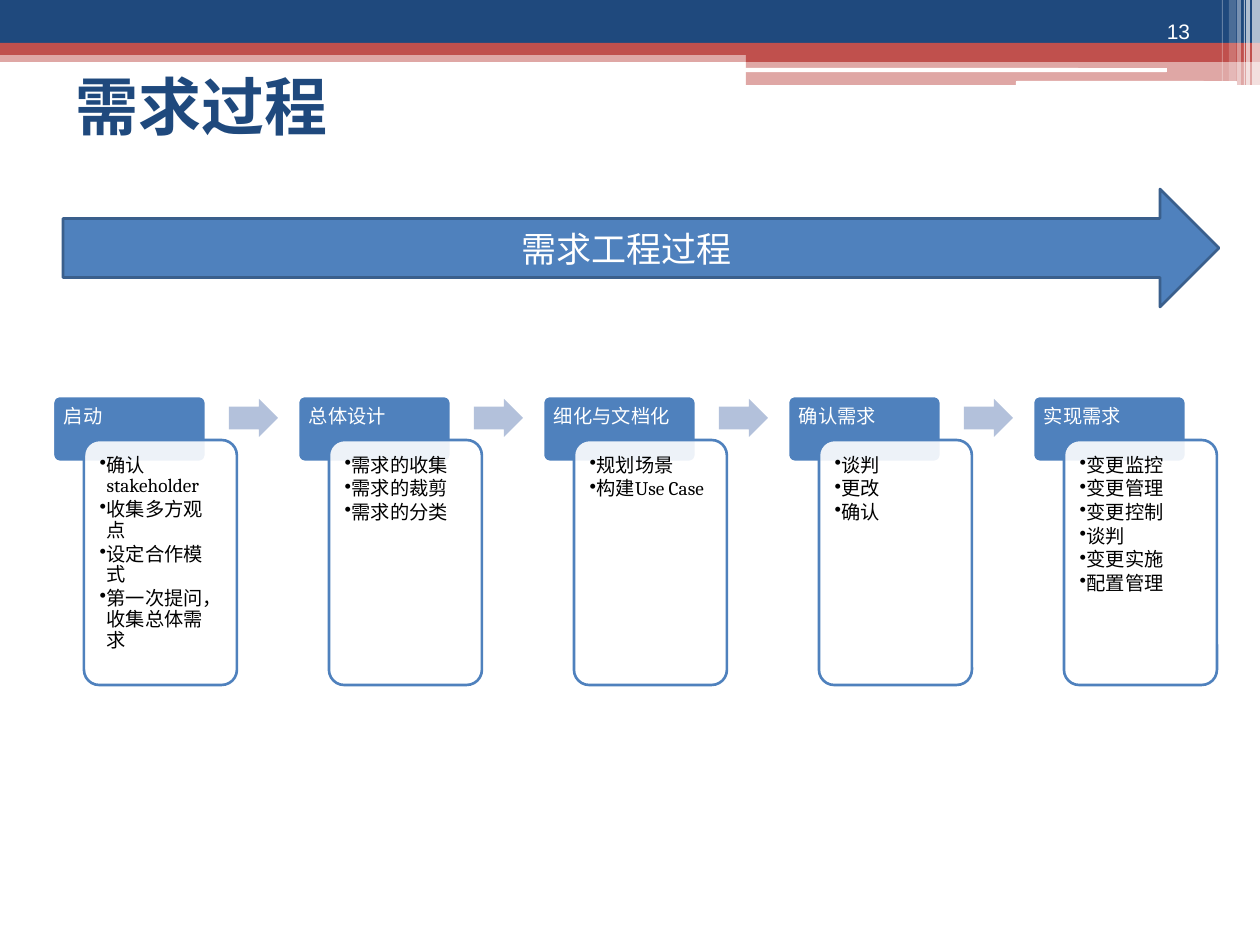
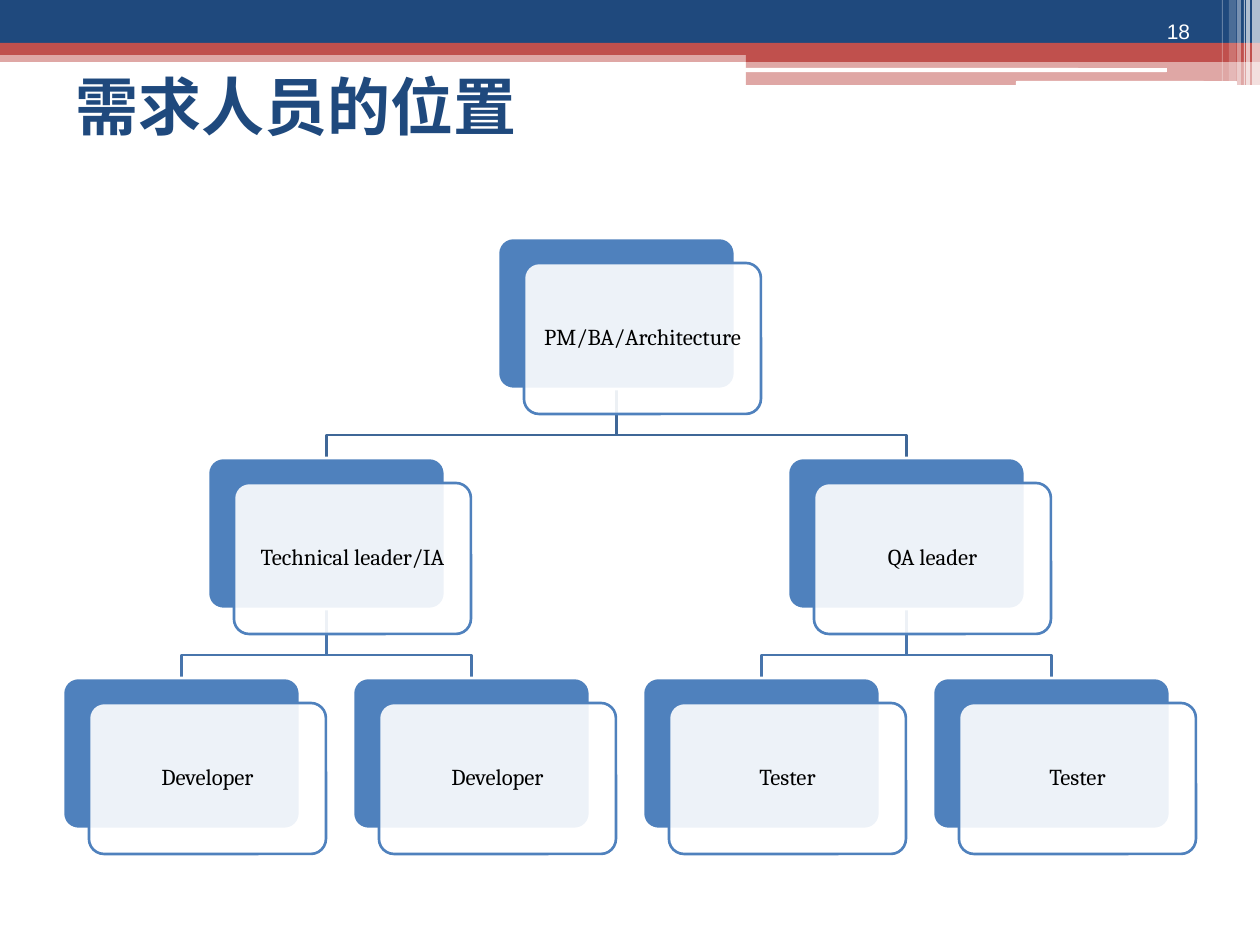
from lxml.etree import SubElement
from pptx import Presentation
from pptx.dml.color import RGBColor
from pptx.enum.shapes import MSO_SHAPE as Kind
from pptx.enum.text import MSO_ANCHOR as Anchor, PP_ALIGN as Align
from pptx.oxml.ns import qn
from pptx.util import Emu, Pt

STEPS = [
    ("启动", ["确认stakeholder", "收集多方观点", "设定合作模式", "第一次提问，收集总体需求"]),
    ("总体设计", ["需求的收集", "需求的裁剪", "需求的分类"]),
    ("细化与文档化", ["规划场景", "构建Use Case"]),
    ("确认需求", ["谈判", "更改", "确认"]),
    ("实现需求", ["变更监控", "变更管理", "变更控制", "谈判", "变更实施", "配置管理"]),
]
TREE = ("PM/BA/Architecture", [
    ("Technical leader/IA", [("Developer", []), ("Developer", [])]),
    ("QA leader", [("Tester", []), ("Tester", [])]),
])

THEME = dict(
    navy="1F497D", red="C0504D", blue="4F81BD", edge="3A5F8C", pale="B3C1DB",
    white="FFFFFF", black="000000", links=["3F6797", "4875AC"], line=1.5,
    title=dict(size=36, name="Roboto", bold=True, color="navy"),
    number=dict(size=12, name="Arial", color="white"),
    banner=dict(size=20, name="Cambria", color="white"),
    head=dict(size=11, name="Cambria", color="white"),
    item=dict(size=11, name="Cambria", color="black"),
    node=dict(size=13, name="Cambria", color="black"),
)

BANDS = [
    (Kind.RECTANGLE, (0, 50, 1260, 12), "red", 50),
    (Kind.RECTANGLE, (0, 0, 1260, 43), "navy", 100),
    (Kind.RECTANGLE, (0, 43, 1260, 12), "red", 100),
    (Kind.RECTANGLE, (746, 49, 514, 13), "red", 100),
    (Kind.RECTANGLE, (746, 62, 514, 23), "red", 50),
    (Kind.ROUNDED_RECTANGLE, (745, 68, 422, 4), "white", 100),
    (Kind.ROUNDED_RECTANGLE, (1016, 81, 221, 5), "white", 100),
] + [
    (Kind.RECTANGLE, (x, 0, wide, tall), "white", alpha)
    for x, wide, tall, alpha in [
        (1252, 8, 86, 65), (1246, 4, 86, 65), (1244, 1, 86, 60),
        (1237, 4, 86, 40), (1229, 7, 81, 20), (1222, 1, 81, 30)]
]


def px(num):
    return Emu(round(num * 914400 / 126))


def tint(name):
    return RGBColor.from_string(THEME.get(name, name))


def apply(obj, vals):
    for key, val in vals.items():
        setattr(obj, key, val)


def trim(shape, line):
    shape.shadow.inherit = False
    if line:
        shape.line.color.rgb = tint(line)
        shape.line.width = Pt(THEME["line"])
    else:
        shape.line.fill.background()


def draw(page, kind, at, fill, alpha=100, line=None, adj=()):
    shape = page.shapes.add_shape(kind, *map(px, at))
    trim(shape, line)
    shape.fill.solid()
    shape.fill.fore_color.rgb = tint(fill)
    if alpha < 100:
        color = shape._element.spPr.find(qn("a:solidFill"))[0]
        SubElement(color, qn("a:alpha"), val=str(alpha * 1000))
    for i, val in enumerate(adj):
        shape.adjustments[i] = val
    return shape


def write(shape, lines, style, pads=(13, 6, 13, 6), anchor=Anchor.TOP,
          align=Align.LEFT, space=1.0, list_style=False):
    frame = shape.text_frame
    sides = ("left", "top", "right", "bottom")
    apply(frame, {f"margin_{side}": px(pad) for side, pad in zip(sides, pads)})
    apply(frame, dict(word_wrap=True, vertical_anchor=anchor))
    font = dict(THEME[style])
    color = font.pop("color")
    font["size"] = Pt(font["size"])
    for i, line in enumerate(lines):
        para = frame.add_paragraph() if i else frame.paragraphs[0]
        apply(para, dict(alignment=align, line_spacing=space))
        run = para.add_run()
        run.text = line
        apply(run.font, font)
        run.font.color.rgb = tint(color)
        if list_style:
            apply(para, dict(level=1, space_after=Pt(1.65)))
            prop = para._p.get_or_add_pPr()
            prop.set("marL", str(px(7)))
            prop.set("indent", str(-px(7)))
            SubElement(prop, qn("a:buChar"), char="•")


def label(page, at, lines, style, **opts):
    write(page.shapes.add_textbox(*map(px, at)), lines, style, **opts)


def card(page, back, front):
    for at, fill, alpha, line in [(back, "blue", 100, "white"),
                                  (front, "white", 90, "blue")]:
        draw(page, Kind.ROUNDED_RECTANGLE, at, fill, alpha, line, [0.1])


def start(deck, title, number):
    page = deck.slides.add_slide(deck.slide_layouts[6])
    for band in BANDS:
        draw(page, *band)
    label(page, (63, 53, 1134, 105), [title], "title", anchor=Anchor.MIDDLE)
    label(page, (1126, 0, 105, 50), [number], "number",
          anchor=Anchor.BOTTOM, align=Align.CENTER)
    return page


def inner(at, gap=4.5):
    x, y, wide, tall = at
    return x + gap, y + gap, wide - 2 * gap, tall - 2 * gap


def flow(page):
    for i, (head, items) in enumerate(STEPS):
        x, y = 53 + 245 * i, 396
        front = (x + 31, y + 44, 153, 245)
        card(page, (x, y, 153, 66), front)
        label(page, (x, y, 153, 44), [head], "head",
              pads=(11, 11, 11, 6), space=0.9)
        label(page, inner(front), items, "item",
              pads=(11,) * 4, space=0.9, list_style=True)
        if i < len(STEPS) - 1:
            draw(page, Kind.RIGHT_ARROW, (x + 176, y + 3, 49, 38), "pale",
                 adj=[0.6, 0.5])
    arrow = draw(page, Kind.RIGHT_ARROW, (63, 189, 1156, 118), "blue", line="edge")
    write(arrow, ["需求工程过程"], "banner", anchor=Anchor.MIDDLE, align=Align.CENTER)


WIDE, TALL = 237, 151


def place(node, nodes, links, leaves, depth=0):
    name, kids = node
    y = 238 + 220 * depth
    spot = len(nodes)
    nodes.append(None)
    tops = [place(kid, nodes, links, leaves, depth + 1) for kid in kids]
    if kids:
        x = sum(tops) / len(tops)
    else:
        x = 63 + 290 * len(leaves)
        leaves.append(name)
    nodes[spot] = (name, x, y)
    mid, base = x + WIDE / 2, y + TALL
    for top in tops:
        end = top + WIDE / 2
        points = [(mid, base), (mid, base + 46), (end, base + 46), (end, y + 220)]
        links.append((depth, points))
    return x


def chart(page):
    nodes, links = [], []
    place(TREE, nodes, links, [])
    for depth, points in reversed(links):
        path = [(px(x), px(y)) for x, y in points]
        pen = page.shapes.build_freeform(*path[0])
        pen.add_line_segments(path[1:], close=False)
        elbow = pen.convert_to_shape()
        elbow.fill.background()
        trim(elbow, THEME["links"][depth])
    for name, x, y in nodes:
        front = (x + 26, y + 25, WIDE, TALL)
        card(page, (x, y, WIDE, TALL), front)
        label(page, inner(front), [name], "node", pads=(6,) * 4,
              anchor=Anchor.MIDDLE, align=Align.CENTER, space=0.9)


deck = Presentation()
apply(deck, dict(slide_width=px(1260), slide_height=px(945)))
flow(start(deck, "需求过程", "13"))
chart(start(deck, "需求人员的位置", "18"))
deck.save("out.pptx")
